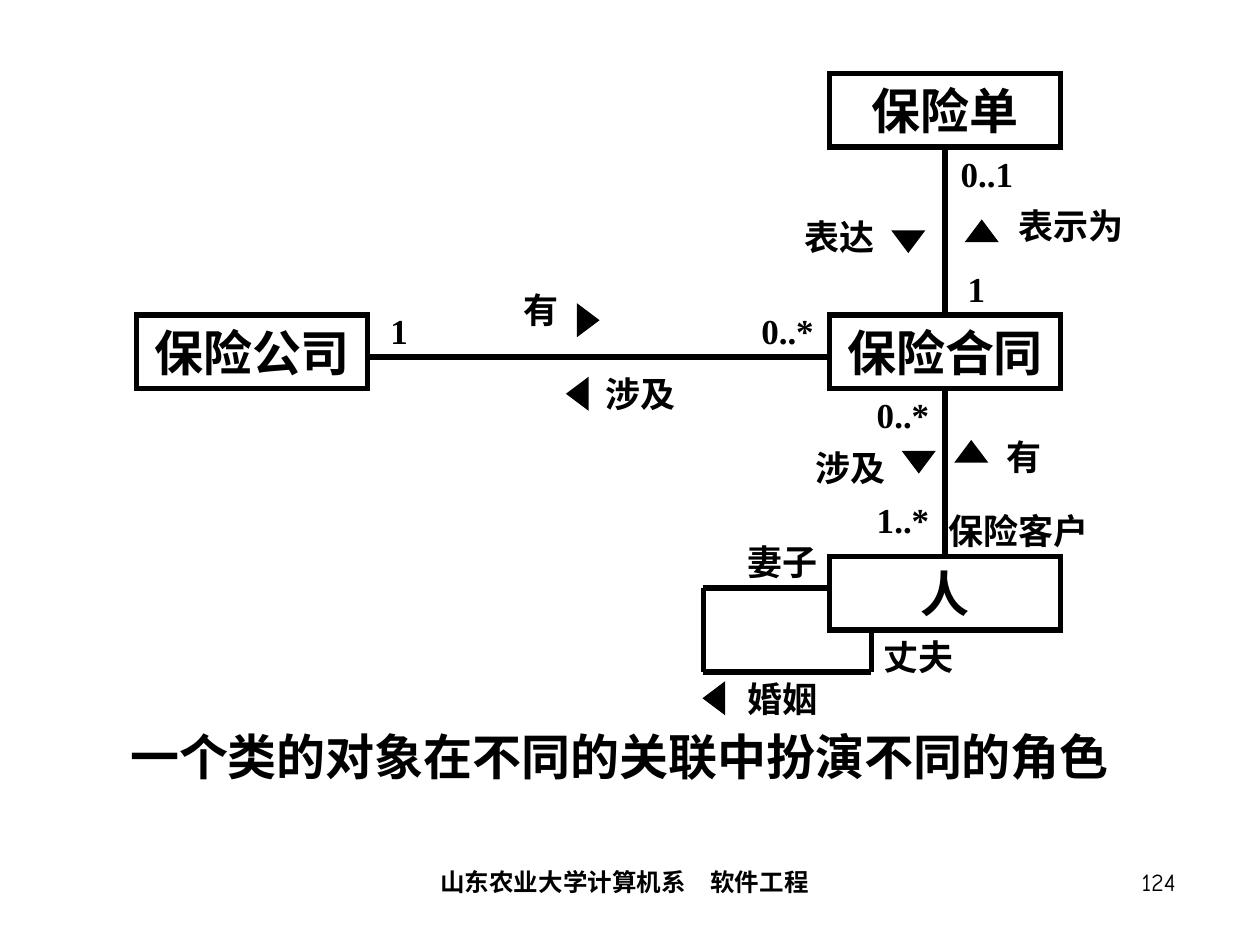
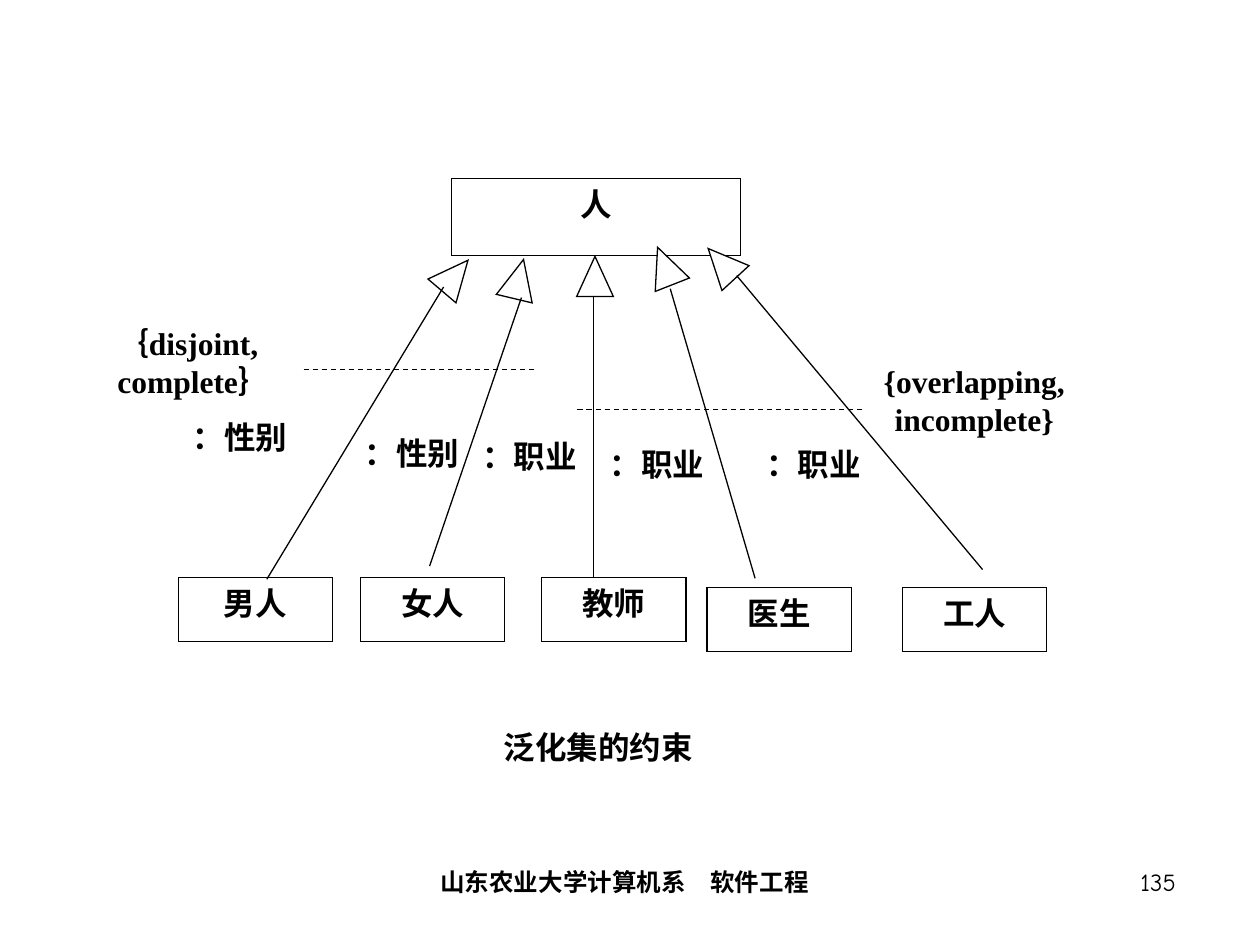
"""Build two UML slides: association roles and constraints on generalization sets."""

from itertools import pairwise

from lxml.etree import SubElement
from pptx import Presentation
from pptx.dml.color import RGBColor
from pptx.enum.dml import MSO_LINE
from pptx.enum.lang import MSO_LANGUAGE_ID
from pptx.enum.shapes import MSO_CONNECTOR, MSO_SHAPE
from pptx.enum.text import MSO_ANCHOR, PP_ALIGN
from pptx.oxml.ns import qn
from pptx.util import Pt

BLACK = RGBColor(0, 0, 0)
WHITE = RGBColor(255, 255, 255)
DIAGRAM_FONT = "Times New Roman"
FOOTER_FONT = "Comic Neue"


def add_item(slide, text, left, top, width, height, kind=None, fill=None, line=0.75, rotation=0,
             size=18, bold=True, font=DIAGRAM_FONT, align=PP_ALIGN.CENTER,
             anchor=MSO_ANCHOR.TOP, margin=7.2, spacing=None):
    """Add a text box, or a preset shape if kind is given, with formatted text."""
    frame = Pt(left), Pt(top), Pt(width), Pt(height)
    if kind is None:
        shape = slide.shapes.add_textbox(*frame)
    else:
        shape = slide.shapes.add_shape(kind, *frame)
        shape.shadow.inherit = False
        shape.rotation = rotation
        shape.line.color.rgb = BLACK
        shape.line.width = Pt(line)
        SubElement(shape._element.spPr.find(qn("a:ln")), qn("a:miter"), lim="800000")
        if fill is None:
            shape.fill.background()
        else:
            shape.fill.solid()
            shape.fill.fore_color.rgb = fill
    if text:
        text_frame = shape.text_frame
        text_frame.word_wrap = True
        text_frame.vertical_anchor = anchor
        text_frame.margin_left = text_frame.margin_right = Pt(margin)
        text_frame.text = text
        for paragraph in text_frame.paragraphs:
            paragraph.alignment = align
            paragraph.line_spacing = spacing
            for run in paragraph.runs:
                run.font.name = font
                run.font.size = Pt(size)
                run.font.bold = bold
                run.font.color.rgb = BLACK
                run.font.language_id = MSO_LANGUAGE_ID.SIMPLIFIED_CHINESE
    return shape


def add_line(slide, start, end, width=0.75, dash=None):
    """Add a straight black connector without a shadow."""
    connector = slide.shapes.add_connector(
        MSO_CONNECTOR.STRAIGHT, *(Pt(value) for value in (*start, *end)))
    connector.line.color.rgb = BLACK
    connector.line.width = Pt(width)
    if dash:
        connector.line.dash_style = dash
    SubElement(connector._element.spPr, qn("a:effectLst"))
    return connector


presentation = Presentation()
presentation.slide_width = Pt(720)
presentation.slide_height = Pt(540)
blank_layout = presentation.slide_layouts[6]

roles_slide = presentation.slides.add_slide(blank_layout)
add_item(roles_slide, "一个类的对象在不同的关联中扮演不同的角色", 66, 414, 576, 36,
         size=28, anchor=MSO_ANCHOR.MIDDLE, margin=0)

classes = {}
for name, left, top in [("保险公司", 78, 180), ("人", 474, 318),
                        ("保险合同", 474, 180), ("保险单", 474, 42)]:
    classes[name] = add_item(roles_slide, name, left, top, 132, 42, kind=MSO_SHAPE.RECTANGLE,
                             line=3, size=28, anchor=MSO_ANCHOR.MIDDLE)

for upper, lower in [("保险单", "保险合同"), ("保险合同", "人")]:
    association = add_line(roles_slide, (540, 84), (540, 180), width=3)
    association.begin_connect(classes[upper], 2)
    association.end_connect(classes[lower], 0)
add_line(roles_slide, (210, 204), (474, 204), width=3)

marriage_corners = [(474, 336), (402, 336), (402, 384), (498, 384), (498, 360)]
for start, end in pairwise(marriage_corners):
    add_line(roles_slide, start, end, width=3)

reading_directions = [(510, 132, 180), (552, 126, 0), (321, 219, 270), (327, 177, 90),
                      (399, 393, 270), (546, 252, 0), (516, 258, 180)]
for left, top, rotation in reading_directions:
    add_item(roles_slide, "", left, top, 18, 12, kind=MSO_SHAPE.ISOSCELES_TRIANGLE,
             fill=BLACK, rotation=rotation)

association_labels = [
    ("0..1", 534, 78, 60), ("1", 534, 144, 48), ("表示为", 576, 108, 72), ("表达", 450, 114, 60),
    ("0..*", 420, 168, 60), ("1", 204, 168, 48), ("有", 282, 156, 54), ("涉及", 336, 204, 60),
    ("婚姻", 420, 378, 54), ("丈夫", 498, 354, 54), ("妻子", 420, 300, 54),
    ("0..*", 486, 216, 60), ("1..*", 486, 276, 60), ("涉及", 456, 246, 60),
    ("有", 564, 240, 42), ("保险客户", 534, 282, 96),
]
for text, left, top, width in association_labels:
    add_item(roles_slide, text, left, top, width, 42, size=20,
             anchor=MSO_ANCHOR.MIDDLE, margin=0)

constraints_slide = presentation.slides.add_slide(blank_layout)
add_item(constraints_slide, "泛化集的约束", 176.5, 412.5, 330.5, 44)

class_boxes = [("人", 258, 102, 165, 44), ("男人", 102, 330, 88, 36.5),
               ("女人", 206, 330, 82.5, 36.5), ("教师", 309.5, 330, 82.5, 36.5),
               ("医生", 404, 335.75, 82.5, 36.5), ("工人", 515.75, 335.75, 82.5, 36.5)]
for name, *frame in class_boxes:
    add_item(constraints_slide, name, *frame, kind=MSO_SHAPE.RECTANGLE, fill=WHITE)

generalizations = [
    ((249.5, 146), 40.3, (253.5, 164), (152.5, 331)),
    ((286, 148), 13.4, (298, 170), (245.5, 323.5)),
    ((329.5, 146.5), 0, (339, 169), (339, 330)),
    ((369.5, 140.5), 338.5, (383, 165), (431.5, 330.5)),
    ((402, 139), 317.3, (421, 157.5), (561.5, 325.5)),
]
for corner, rotation, start, end in generalizations:
    add_item(constraints_slide, "", *corner, 21, 23, kind=MSO_SHAPE.FLOWCHART_EXTRACT,
             fill=WHITE, rotation=rotation)
    add_line(constraints_slide, start, end)

for left, right, height in [(173.5, 306, 211), (330, 495, 234)]:
    add_line(constraints_slide, (left, height), (right, height), dash=MSO_LINE.DASH)

add_item(constraints_slide, "{overlapping,\nincomplete}", 477.5, 203, 158.5, 67.5,
         spacing=Pt(21.7))
add_item(constraints_slide, "｛disjoint,\ncomplete｝", 60, 181.5, 144.5, 85,
         align=PP_ALIGN.JUSTIFY, spacing=Pt(21.7))

discriminators = [
    ("：性别", 79.5, 235.5, 115, PP_ALIGN.CENTER), ("：性别", 178, 244.5, 91.5, PP_ALIGN.RIGHT),
    ("：职业", 251, 246, 103, PP_ALIGN.CENTER), ("：职业", 326.5, 250.5, 98, PP_ALIGN.CENTER),
    ("：职业", 419, 250.5, 91.5, PP_ALIGN.CENTER),
]
for text, left, top, width, align in discriminators:
    add_item(constraints_slide, text, left, top, width, 75, align=align)

for slide, number in [(roles_slide, "124"), (constraints_slide, "135")]:
    add_item(slide, "山东农业大学计算机系　软件工程", 144, 492, 426, 36, size=14, font=FOOTER_FONT)
    add_item(slide, number, 529, 492, 150, 36, size=14, bold=False, font=FOOTER_FONT,
             align=PP_ALIGN.RIGHT)

presentation.save("out.pptx")
